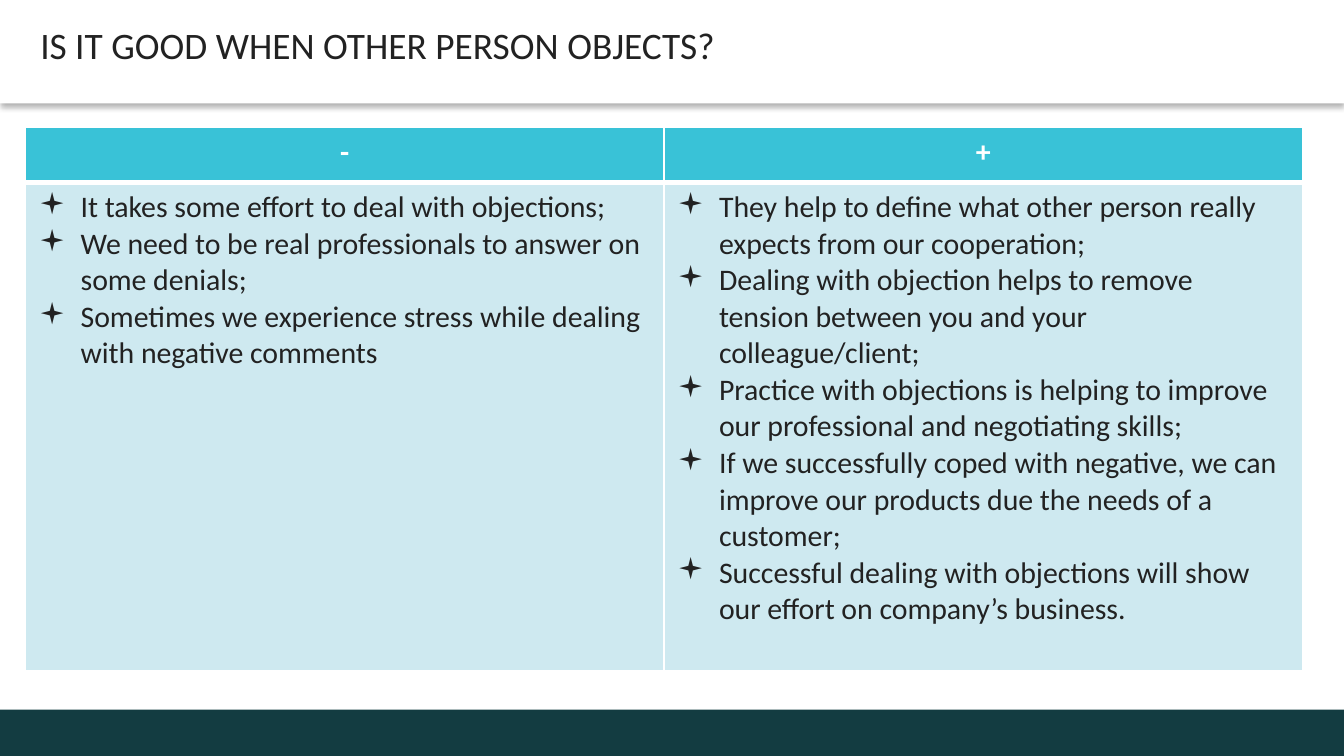
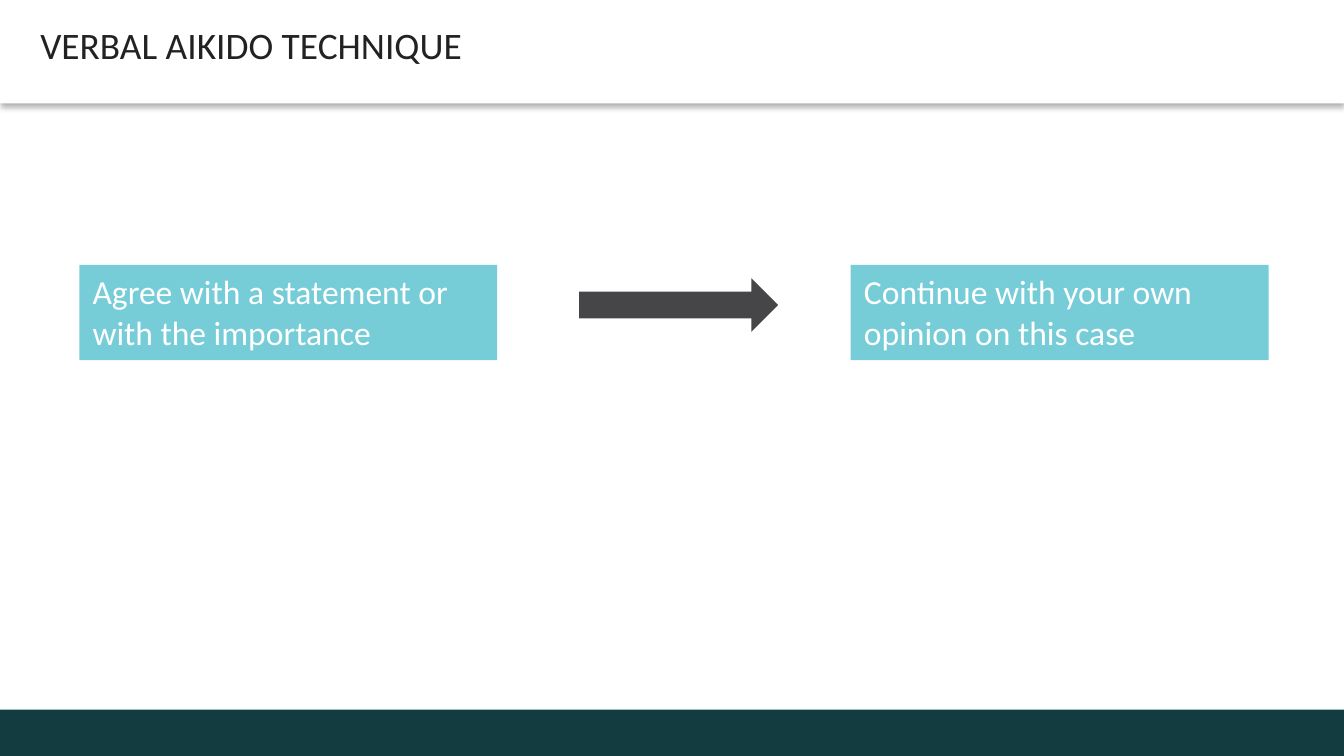
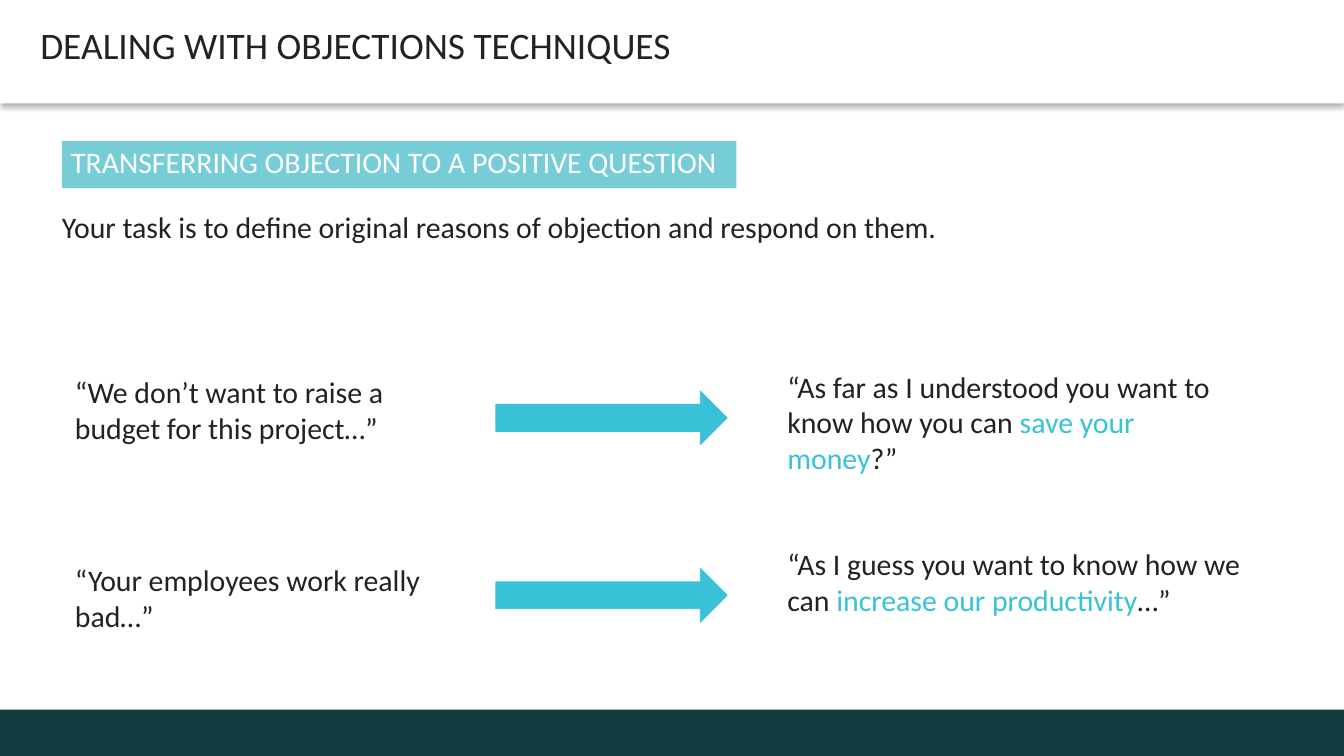
"""Build three slides on answering objections."""
from dataclasses import dataclass

from lxml import etree
from pptx import Presentation
from pptx.dml.color import RGBColor
from pptx.enum.shapes import MSO_SHAPE
from pptx.enum.text import MSO_ANCHOR, PP_ALIGN
from pptx.oxml.ns import qn
from pptx.util import Inches, Pt

RECTANGLE = MSO_SHAPE.RECTANGLE
RIGHT_ARROW = MSO_SHAPE.RIGHT_ARROW
TOP, MIDDLE = MSO_ANCHOR.TOP, MSO_ANCHOR.MIDDLE
LEFT, CENTER = PP_ALIGN.LEFT, PP_ALIGN.CENTER


@dataclass(frozen=True)
class Theme:
    font: str = "Calibri"
    bullet_font: str = "Wingdings"
    white: str = "FFFFFF"
    ink: str = "222222"
    accent: str = "39C2D7"
    label: str = "76CDD8"
    pale: str = "CEE9F0"
    footer: str = "133C41"
    charcoal: str = "464547"
    title_size: int = 20
    step_size: int = 18
    body_size: int = 16
    line_pitch: int = 16


@dataclass(frozen=True)
class Box:
    left: float
    top: float
    width: float
    height: float

    def emu(self) -> tuple:
        return tuple(Inches(n) for n in (self.left, self.top, self.width, self.height))


@dataclass(frozen=True)
class Insets:
    left: float = 0.1
    top: float = 0.05
    right: float = 0.1
    bottom: float = 0.05


@dataclass(frozen=True)
class Exchange:
    objection: str
    objection_box: Box
    reply_start: str
    reply_key: str
    reply_end: str
    reply_box: Box
    arrow_top: float


THEME = Theme()
SLIDE_WIDTH = 10
SLIDE_HEIGHT = SLIDE_WIDTH * 9 / 16
HEADER = Box(0, 0, SLIDE_WIDTH, 0.77)
FOOTER = Box(0, 5.28, SLIDE_WIDTH, 0.35)

DRAWBACKS = (
    "It takes some effort to deal with objections;",
    "We need to be real professionals to answer on some denials;",
    "Sometimes we experience stress while dealing with negative comments",
)
BENEFITS = (
    "They help to define what other person really expects from our cooperation;",
    "Dealing with objection helps to remove tension between you and your colleague/client;",
    "Practice with objections is helping to improve our professional and negotiating skills;",
    "If we successfully coped with negative, we can improve our products due the needs of a customer;",
    "Successful dealing with objections will show our effort on company’s business.",
)
EXCHANGES = (
    Exchange("“We don’t want to raise a budget for this project…”", Box(0.46, 2.73, 2.87, 0.64),
             "“As far as I understood you want to know how you can ", "save your money", "?”",
             Box(5.76, 2.69, 3.62, 0.91), 2.91),
    Exchange("“Your employees work really bad…”", Box(0.46, 4.13, 2.87, 0.64),
             "“As I guess you want to know how we can ", "increase our productivity", "…”",
             Box(5.76, 4.01, 3.62, 0.64), 4.23),
)


def rgb(color: str) -> RGBColor:
    """Turn a theme colour into an RGB value."""
    return RGBColor.from_string(color)


def style_run(run, size: int, color: str, bold: bool = False) -> None:
    """Give a run its font, size and colour."""
    run.font.name, run.font.size, run.font.bold = THEME.font, Pt(size), bold
    run.font.color.rgb = rgb(color)


def write(shape, text: str, size: int, color: str, anchor=TOP, insets: Insets = Insets()):
    """Set the text of a shape and return its paragraph."""
    frame = shape.text_frame
    frame.text, frame.word_wrap, frame.vertical_anchor = text, True, anchor
    frame.margin_left, frame.margin_right = Inches(insets.left), Inches(insets.right)
    frame.margin_top, frame.margin_bottom = Inches(insets.top), Inches(insets.bottom)
    paragraph = frame.paragraphs[0]
    paragraph.alignment = LEFT
    style_run(paragraph.runs[0], size, color)
    return paragraph


def add_filled(slide, kind, box: Box, color: str):
    """Add a flat preset shape without outline or shadow."""
    shape = slide.shapes.add_shape(kind, *box.emu())
    shape.shadow.inherit = False
    shape.fill.solid()
    shape.fill.fore_color.rgb = rgb(color)
    shape.line.fill.background()
    return shape


def add_text(slide, box: Box, text: str, insets: Insets = Insets()):
    """Add a body text box and return its paragraph."""
    return write(slide.shapes.add_textbox(*box.emu()), text, THEME.body_size, THEME.ink, insets=insets)


def cast_shadow(shape) -> None:
    """Give a shape a soft shadow below its lower edge."""
    effects = shape.element.spPr.find(qn("a:effectLst"))
    shadow = etree.SubElement(effects, qn("a:outerShdw"), blurRad=str(Pt(3.1)),
                              dist=str(Pt(2)), dir="5400000", algn="t", rotWithShape="0")
    black = etree.SubElement(shadow, qn("a:srgbClr"), val="000000")
    etree.SubElement(black, qn("a:alpha"), val="30000")


def start_slide(deck, title: str):
    """Add a blank slide with the footer band and title bar."""
    slide = deck.slides.add_slide(deck.slide_layouts[6])
    add_filled(slide, RECTANGLE, FOOTER, THEME.footer)
    bar = add_filled(slide, RECTANGLE, HEADER, THEME.white)
    cast_shadow(bar)
    heading = write(bar, title, THEME.title_size, THEME.ink, MIDDLE, Insets(0.3, 0.04, 0.07, 0.04))
    heading.line_spacing = Pt(THEME.line_pitch)
    heading.space_before, heading.space_after = Pt(2.6), Pt(3)
    return slide


def add_bullet(paragraph) -> None:
    """Hang a square bullet in front of a paragraph."""
    properties = paragraph._p.get_or_add_pPr()
    properties.set("marL", str(Inches(0.31)))
    properties.set("indent", str(-Inches(0.31)))
    etree.SubElement(properties, qn("a:buFont"), typeface=THEME.bullet_font)
    etree.SubElement(properties, qn("a:buChar"), char="▪")


def style_cell(cell, fill: str, top: float, bottom: float) -> None:
    """Fill a cell and rule its edges in white."""
    cell.fill.solid()
    cell.fill.fore_color.rgb = rgb(fill)
    properties = cell._tc.get_or_add_tcPr()
    edges = (("a:lnL", 1), ("a:lnR", 1), ("a:lnT", top), ("a:lnB", bottom))
    for position, (edge, width) in enumerate(edges):
        rule = etree.Element(qn(edge), w=str(Pt(width)))
        paint = etree.SubElement(rule, qn("a:solidFill"))
        etree.SubElement(paint, qn("a:srgbClr"), val=THEME.white)
        properties.insert(position, rule)


def build_pros_and_cons(deck) -> None:
    """Compare the drawbacks and benefits of objections."""
    slide = start_slide(deck, "IS IT GOOD WHEN OTHER PERSON OBJECTS?")
    comparison = slide.shapes.add_table(2, 2, *Box(0.19, 0.95, 9.5, 4.04).emu()).table
    comparison.first_row = comparison.horz_banding = False
    comparison.rows[0].height, comparison.rows[1].height = Inches(0.41), Inches(3.63)
    for column, (sign, points) in enumerate((("-", DRAWBACKS), ("+", BENEFITS))):
        sign_cell, points_cell = comparison.cell(0, column), comparison.cell(1, column)
        style_cell(sign_cell, THEME.accent, 1, 3)
        style_cell(points_cell, THEME.pale, 3, 1)
        sign_cell.text_frame.text = sign
        sign_line = sign_cell.text_frame.paragraphs[0]
        sign_line.alignment = CENTER
        style_run(sign_line.runs[0], THEME.body_size, THEME.white, bold=True)
        points_cell.text_frame.text = "\n".join(points)
        for point in points_cell.text_frame.paragraphs:
            add_bullet(point)
            style_run(point.runs[0], THEME.body_size, THEME.ink)


def build_verbal_aikido(deck) -> None:
    """Show the two steps of verbal aikido."""
    slide = start_slide(deck, "VERBAL AIKIDO TECHNIQUE")
    steps = ((0.59, "Agree with a statement or with the importance"),
             (6.33, "Continue with your own opinion on this case"))
    for left, step in steps:
        panel = add_filled(slide, RECTANGLE, Box(left, 1.97, 3.11, 0.71), THEME.label)
        write(panel, step, THEME.step_size, THEME.white)
    add_filled(slide, RIGHT_ARROW, Box(4.31, 2.07, 1.48, 0.4), THEME.charcoal)


def add_exchange(slide, exchange: Exchange) -> None:
    """Lead from an objection to a reply with its key words in colour."""
    add_text(slide, exchange.objection_box, exchange.objection)
    reply = add_text(slide, exchange.reply_box, exchange.reply_start)
    for words, color in ((exchange.reply_key, THEME.accent), (exchange.reply_end, THEME.ink)):
        run = reply.add_run()
        run.text = words
        style_run(run, THEME.body_size, color)
    arrow = add_filled(slide, RIGHT_ARROW, Box(3.69, exchange.arrow_top, 1.72, 0.4), THEME.accent)
    arrow.line.color.rgb = rgb(THEME.accent)
    arrow.line.width = Pt(0.5)


def build_positive_question(deck) -> None:
    """Show objections turned into positive questions."""
    slide = start_slide(deck, "DEALING WITH OBJECTIONS TECHNIQUES")
    technique = add_filled(slide, RECTANGLE, Box(0.46, 1.05, 5.02, 0.35), THEME.label)
    name = write(technique, "TRANSFERRING OBJECTION TO A POSITIVE QUESTION", THEME.body_size,
                 THEME.white, MIDDLE, Insets(0.07, 0.06, 0.07, 0.06))
    name.line_spacing, name.space_after = Pt(THEME.line_pitch), Pt(3)
    task = add_text(slide, Box(0.39, 1.46, 9.11, 0.51),
                    "Your task is to define original reasons of objection and respond on them.",
                    Insets(0.07, 0.04, 0.07, 0.04))
    task.line_spacing, task.space_after = 1.2, Pt(7.5)
    for exchange in EXCHANGES:
        add_exchange(slide, exchange)


def main() -> None:
    """Build and save the deck."""
    deck = Presentation()
    deck.slide_width, deck.slide_height = Inches(SLIDE_WIDTH), Inches(SLIDE_HEIGHT)
    build_pros_and_cons(deck)
    build_verbal_aikido(deck)
    build_positive_question(deck)
    deck.save("out.pptx")


if __name__ == "__main__":
    main()
